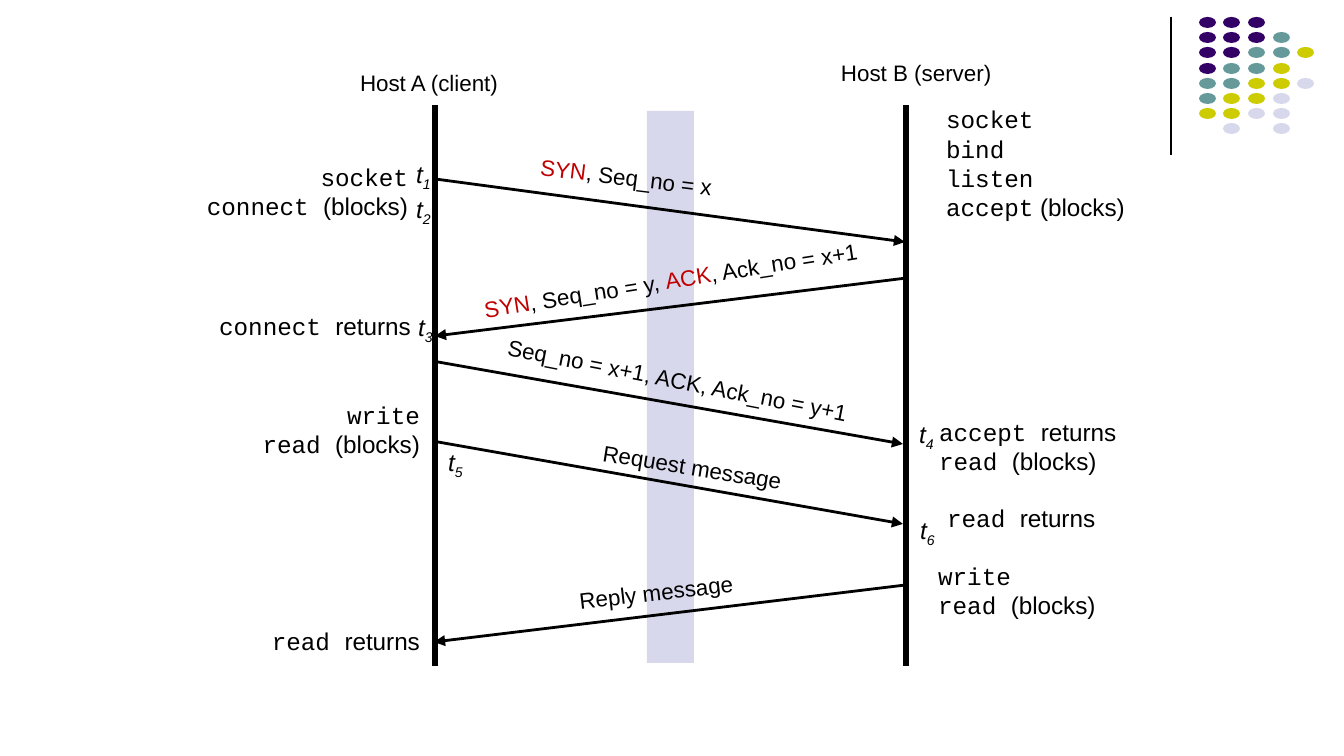
from dataclasses import dataclass
from functools import partial

from lxml import etree
from pptx import Presentation, util as u
from pptx.dml.color import RGBColor
from pptx.enum import shapes, text
from pptx.oxml.ns import qn

SCALE = 914400 / 134.4


@dataclass(frozen=True)
class Theme:
    ink: str = "000000"
    flag: str = "C00000"
    band: str = "D8D8EC"
    purple: str = "330066"
    teal: str = "669999"
    olive: str = "CCCC00"
    sans: str = "Arial"
    mono: str = "Courier New"
    label: int = 12
    call: int = 13
    rule: float = 0.75
    arrow: float = 1.5
    host: float = 2.86


T = Theme()


def px(n):
    return u.Emu(round(n * SCALE))


def add_run(p, content, font=T.sans, size=T.call, color=T.ink, italic=False, baseline=0):
    r = p.add_run()
    r.text = content
    r.font.name = font
    r.font.size = u.Pt(size)
    r.font.italic = italic
    r.font.color.rgb = RGBColor.from_string(color)
    if baseline:
        r.font._element.set("baseline", str(baseline))


def span(content, **fmt):
    return partial(add_run, content=content, **fmt)


code = partial(span, font=T.mono)
label = partial(span, size=T.label)
flag = partial(label, color=T.flag)


class Sketch:
    def __init__(self, slide, theme):
        self.s = slide
        self.theme = theme

    def shape(self, kind, x, y, w, h, color):
        sp = self.s.shapes.add_shape(kind, px(x), px(y), px(w), px(h))
        sp.shadow.inherit = False
        sp.fill.solid()
        sp.fill.fore_color.rgb = RGBColor.from_string(color)
        sp.line.fill.background()

    def line(self, x1, y1, x2, y2, width, head=False):
        c = self.s.shapes.add_connector(
            shapes.MSO_CONNECTOR.STRAIGHT, px(x1), px(y1), px(x2), px(y2))
        c.line.width = u.Pt(width)
        c.line.color.rgb = RGBColor.from_string(self.theme.ink)
        if head:
            ln = c.line._get_or_add_ln()
            etree.SubElement(ln, qn("a:tailEnd"), type="triangle")
        etree.SubElement(c._element.spPr, qn("a:effectLst"))

    def text(self, x, y, w, h, *lines, inset=True, wrap=True, right=False, angle=0):
        sp = self.s.shapes.add_textbox(px(x), px(y), px(w), px(h))
        sp.rotation = angle
        tf = sp.text_frame
        tf.word_wrap = wrap
        tf.auto_size = text.MSO_AUTO_SIZE.SHAPE_TO_FIT_TEXT
        if not inset:
            tf.margin_left = tf.margin_right = tf.margin_top = tf.margin_bottom = 0
        for i, spans in enumerate(lines):
            p = tf.add_paragraph() if i else tf.paragraphs[0]
            p.alignment = text.PP_ALIGN.RIGHT if right else text.PP_ALIGN.LEFT
            for put in spans:
                put(p)

    def message(self, x, y, w, *spans, angle=0):
        self.text(x, y, w, 27, spans, inset=False, wrap=False, angle=angle)

    def calls(self, x, y, *lines, right=False):
        self.text(x, y, 233, 13 + 30 * len(lines), *lines, right=right)

    def time(self, x, y, index):
        self.text(x, y, 51, 47, [span("t", italic=True),
                                 span(str(index), italic=True, baseline=-25000)])

    def dots(self, x, y, rows):
        colors = {"p": self.theme.purple, "t": self.theme.teal,
                  "o": self.theme.olive, "b": self.theme.band}
        for i, row in enumerate(rows):
            for j, key in enumerate(row):
                if key in colors:
                    self.shape(shapes.MSO_SHAPE.OVAL, x + round(24.5 * j),
                               y + round(15.2 * i), 17, 11, colors[key])


def main():
    prs = Presentation()
    prs.slide_width, prs.slide_height = px(1344), px(756)
    d = Sketch(prs.slides.add_slide(prs.slide_layouts[6]), T)

    d.line(1171, 17, 1171, 155, T.rule)
    d.dots(1199, 17, ["ppp", "pppt", "pptto", "ptto", "ttoob", "toob", "oobb", ".b.b"])
    d.shape(shapes.MSO_SHAPE.RECTANGLE, 647, 111, 47, 552, T.band)

    for x in (435, 906):
        d.line(x, 105, x, 666, T.host)
    d.message(360, 69, 146, label("Host A (client)"))
    d.message(841, 59, 156, label("Host B (server)"))

    for ends in ((435, 179, 905, 242), (907, 278, 435, 336), (438, 362, 903, 444),
                 (438, 442, 903, 524), (906, 585, 434, 642)):
        d.line(*ends, T.arrow, head=True)

    d.message(540, 164, 180, flag("SYN"), label(", Seq_no = x"), angle=7)
    d.message(482, 266, 384, flag("SYN"), label(", Seq_no = y, "),
              flag("ACK"), label(", Ack_no = x+1"), angle=-9)
    d.message(505, 367, 352, label("Seq_no = x+1, ACK, Ack_no = y+1"), angle=11)
    d.message(602, 454, 188, label("Request message"), angle=9.1)
    d.message(579, 578, 160, label("Reply message"), angle=-6.6)

    returns, blocks = span("returns"), span("(blocks)")
    read_blocks = [code("read "), blocks]
    read_returns = [code("read "), returns]
    d.calls(188, 156, [code("socket")], [code("connect "), blocks], right=True)
    d.calls(206, 305, [code("connect "), returns])
    d.calls(200, 394, [code("write")], read_blocks, right=True)
    d.calls(200, 620, read_returns, right=True)
    d.text(933, 98, 216, 130, [code("socket")], [code("bind")], [code("listen")],
           [code("accept"), span(" (blocks)")], wrap=False)
    d.calls(926, 411, [code("accept "), returns], read_blocks)
    d.calls(934, 497, read_returns)
    d.calls(925, 555, [code("write")], read_blocks)

    marks = [(403, 153), (403, 188), (405, 306), (906, 413), (435, 441), (907, 509)]
    for i, (x, y) in enumerate(marks, 1):
        d.time(x, y, i)

    prs.save("out.pptx")


if __name__ == "__main__":
    main()
